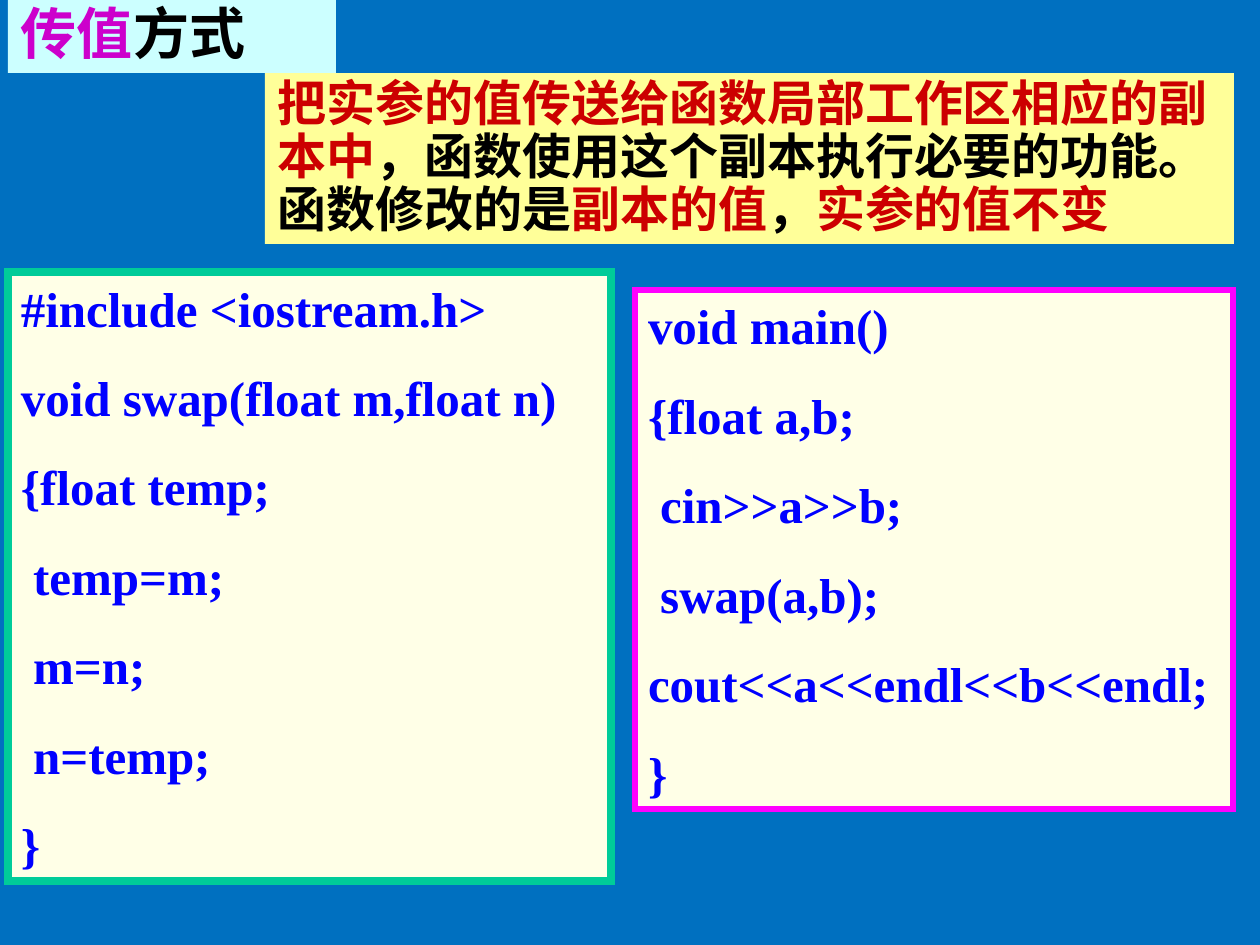
from pptx import Presentation
from pptx.dml.color import RGBColor as RGB
from pptx.enum.shapes import MSO_SHAPE as Kind
from pptx.enum.text import MSO_ANCHOR as Anchor, PP_ALIGN as Align
from pptx.oxml.ns import qn
from pptx.util import Pt
from lxml.etree import SubElement

PX = 914400 / 126
SANS, SERIF = "Noto Sans CJK SC", "Times New Roman"
RED, BLACK, BLUE = "CC0000", "000000", "0000FF"


def paint(fmt, code):
    fmt.solid()
    fmt.fore_color.rgb = RGB.from_string(code)


def emu(px):
    return round(px * PX)


main = ["void main()", "{float a,b;", " cin>>a>>b;", " swap(a,b);",
        "cout<<a<<endl<<b<<endl;", "}"]
swap = ["#include <iostream.h>", "void swap(float m,float n)", "{float temp;",
        " temp=m;", " m=n;", " n=temp;", "}"]
title = [("传值", "CC00CC"), ("方式", BLACK)]
note = [("把实参的值传送给函数局部工作区相应的副本中", RED),
        ("，函数使用这个副本执行必要的功能。函数修改的是", BLACK),
        ("副本的值", RED), ("，", BLACK), ("实参的值不变", RED)]

code = {"size": 28, "font": SERIF, "fill": "FFFFE7", "lead": 1}
prose = {"size": 28, "font": SANS, "fill": "FFFF99", "lead": 0.9}
boxes = [
    ((635, 290, 598, 519), [[(t, BLUE)] for t in main],
     code | {"line": "FF00FF", "width": 3}),
    ((8, 272, 603, 609), [[(t, BLUE)] for t in swap],
     code | {"line": "00CC99", "width": 4.5}),
    ((8, 0, 328, 73), [title], prose | {"size": 32, "fill": "CCFFFF"}),
    ((265, 73, 969, 171), [note], prose),
]

deck = Presentation()
deck.slide_width, deck.slide_height = emu(1260), emu(945)
slide = deck.slides.add_slide(deck.slide_layouts[6])
paint(slide.background.fill, "0070C0")

for place, paras, look in boxes:
    box = slide.shapes.add_shape(Kind.RECTANGLE, *map(emu, place))
    box.shadow.inherit = False
    paint(box.fill, look["fill"])
    if "line" in look:
        paint(box.line.fill, look["line"])
        box.line.width = Pt(look["width"])
        edge = box._element.spPr.find(qn("a:ln"))
        SubElement(edge, qn("a:miter")).set("lim", "800000")
    else:
        box.line.fill.background()
    frame = box.text_frame
    form = {"word_wrap": True, "vertical_anchor": Anchor.TOP,
            "margin_left": emu(13), "margin_right": emu(13),
            "margin_top": emu(6), "margin_bottom": emu(6)}
    for key, value in form.items():
        setattr(frame, key, value)
    for n, runs in enumerate(paras):
        para = frame.add_paragraph() if n else frame.paragraphs[0]
        para.alignment = Align.LEFT
        para.line_spacing = look["lead"]
        para.space_before = Pt(17.5 if n else 0)
        for text, hue in runs:
            run = para.add_run()
            run.text = text
            style = {"size": Pt(look["size"]), "bold": True, "name": look["font"]}
            for key, value in style.items():
                setattr(run.font, key, value)
            paint(run.font.fill, hue)
            east = SubElement(run.font._element, qn("a:ea"))
            east.set("typeface", look["font"])

deck.save("out.pptx")
